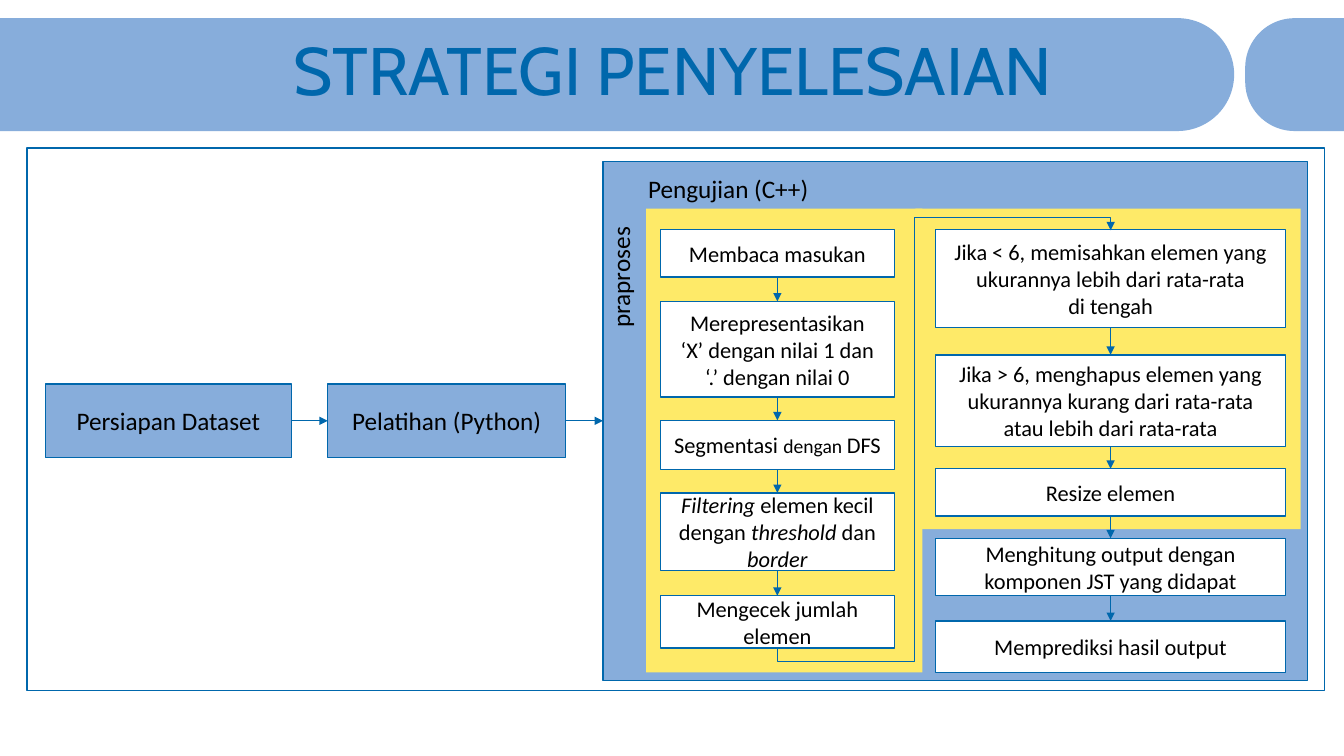
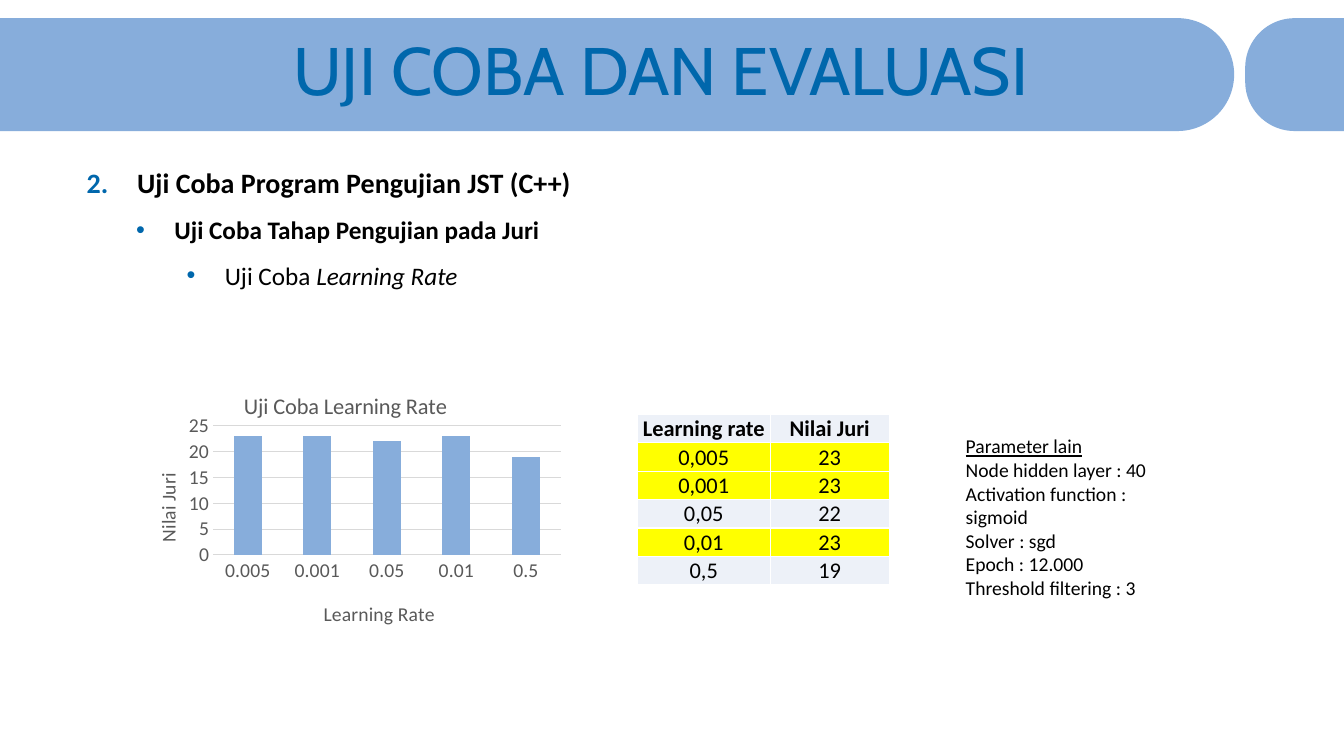
from lxml import etree
from pptx import Presentation
from pptx.chart.data import CategoryChartData
from pptx.dml.color import RGBColor
from pptx.enum import chart as charts, shapes, text
from pptx.oxml import ns
from pptx.util import Inches, Pt

BLUE, NAVY, YELLOW, WHITE, BLACK = "87ADDB", "0067AC", "FEEA68", "FFFFFF", "000000"
GREY, GRID, PALE, HIGHLIGHT = "595959", "D9D9D9", "EDF1F8", "FFFF00"
BODY_FONT, TITLE_FONT = "Calibri", "Cabin"
TITLE_ONLY, TITLE_AND_CONTENT = 5, 1
TOP, LEFT, BOTTOM, RIGHT = 0, 1, 2, 3


def color(hex_string):
    return RGBColor.from_string(hex_string)


def add_xml(parent, tag, **attributes):
    child = etree.SubElement(parent, ns.qn(tag))
    for name, value in attributes.items():
        child.set(name, str(value))
    return child


def style_font(font, size, hex_string=BLACK, name=BODY_FONT):
    font.name, font.size = name, Pt(size)
    font.color.rgb = color(hex_string)


def write(text_frame, lines, size, align=text.PP_ALIGN.LEFT):
    """Write lines; each is a string or a list of (text, font attributes) runs."""
    for index, line in enumerate(lines):
        paragraph = text_frame.paragraphs[0] if index == 0 else text_frame.add_paragraph()
        paragraph.alignment = align
        for content, attributes in [(line, {})] if isinstance(line, str) else line:
            run = paragraph.add_run()
            run.text = content
            style_font(run.font, size)
            for name, value in attributes.items():
                setattr(run.font, name, value)


def place(shape, left, top, width, height):
    shape.left, shape.top = Inches(left), Inches(top)
    shape.width, shape.height = Inches(width), Inches(height)


def add_box(slide, left, top, width, height, fill=None, line=None, lines=(), size=16):
    box = slide.shapes.add_shape(shapes.MSO_SHAPE.RECTANGLE, Inches(left), Inches(top),
                                 Inches(width), Inches(height))
    box.shadow.inherit = False
    if fill:
        box.fill.solid()
        box.fill.fore_color.rgb = color(fill)
    else:
        box.fill.background()
    if line:
        box.line.color.rgb = color(line)
        box.line.width = Pt(1)
    else:
        box.line.fill.background()
    box.text_frame.vertical_anchor = text.MSO_ANCHOR.MIDDLE
    write(box.text_frame, lines, size, text.PP_ALIGN.CENTER)
    return box


def add_label(slide, left, top, width, height, lines, size):
    label = slide.shapes.add_textbox(Inches(left), Inches(top), Inches(width), Inches(height))
    label.text_frame.word_wrap = True
    write(label.text_frame, lines, size)
    return label


def add_arrow(slide, kind, start=(0, 0), end=(0, 0)):
    points = [Inches(value) for value in (*start, *end)]
    arrow = slide.shapes.add_connector(kind, *points)
    arrow.line.color.rgb = color(NAVY)
    arrow.line.width = Pt(0.5)
    add_xml(arrow.line._get_or_add_ln(), "a:tailEnd", type="triangle")
    add_xml(arrow._element.spPr, "a:effectLst")
    return arrow


def join_boxes(slide, boxes, start_side, end_side):
    """Join each box to the next with an arrow."""
    for start, end in zip(boxes, boxes[1:]):
        arrow = add_arrow(slide, shapes.MSO_CONNECTOR.STRAIGHT)
        arrow.begin_connect(start, start_side)
        arrow.end_connect(end, end_side)


def add_wrap_arrow(slide):
    """Lead from the foot of the first column to the head of the second."""
    arrow = add_arrow(slide, shapes.MSO_CONNECTOR.ELBOW, (11.43, 6.01), (7.29, 2.7))
    properties = arrow._element.spPr
    properties.find(ns.qn("a:xfrm")).set("rot", "5400000")
    geometry = properties.find(ns.qn("a:prstGeom"))
    geometry.set("prst", "bentConnector5")
    guides = geometry.find(ns.qn("a:avLst"))
    if guides is None:
        guides = add_xml(geometry, "a:avLst")
    for number, value in enumerate((-3400, 41300, 103000), start=1):
        add_xml(guides, "a:gd", name=f"adj{number}", fmla=f"val {value}")


def add_master_bands(presentation, slide):
    """Draw the header bands once and hand them to the slide master."""
    master_tree = presentation.slide_master.shapes._spTree
    top, height = 0.18, 1.12
    for number, (left, length, rotation) in enumerate([(0, 12.24, 90), (12.35, 0.98, 270)]):
        band = slide.shapes.add_shape(
            shapes.MSO_SHAPE.ROUND_2_SAME_RECTANGLE,
            Inches(left + (length - height) / 2), Inches(top + (height - length) / 2),
            Inches(height), Inches(length))
        band.rotation = rotation
        band.adjustments[0] = 0.5
        band.shadow.inherit = False
        band.fill.solid()
        band.fill.fore_color.rgb = color(BLUE)
        band.line.fill.background()
        band._element.nvSpPr.cNvPr.set("id", str(100 + number))
        master_tree.insert(2, band._element)


def add_slide(presentation, layout, title):
    slide = presentation.slides.add_slide(presentation.slide_layouts[layout])
    shape = slide.shapes.title
    place(shape, 2.81, 0.34, 10.5, 0.79)
    frame = shape.text_frame
    frame.text = title
    frame.auto_size = text.MSO_AUTO_SIZE.NONE
    frame.vertical_anchor = text.MSO_ANCHOR.MIDDLE
    paragraph = frame.paragraphs[0]
    paragraph.alignment = text.PP_ALIGN.LEFT
    paragraph.line_spacing = 0.9
    style_font(paragraph.runs[0].font, 48, NAVY, TITLE_FONT)
    return slide


def fill_outline(placeholder):
    place(placeholder, 0.76, 1.43, 11.79, 1.51)
    frame = placeholder.text_frame
    frame.auto_size = text.MSO_AUTO_SIZE.NONE
    bold, italic = {"bold": True}, {"italic": True}
    write(frame, [[("Uji Coba Program Pengujian JST (C++)", {**bold, "size": Pt(20)})],
                  [("Uji Coba Tahap Pengujian pada Juri", bold)],
                  [("Uji Coba ", {}), ("Learning Rate", italic)]], 18)
    indents = [(0.5, 0.5), (0.87, 0.38), (1.37, 0.38)]
    for level, (paragraph, (margin, hanging)) in enumerate(zip(frame.paragraphs, indents)):
        properties = paragraph._p.get_or_add_pPr()
        properties.set("marL", str(Inches(margin)))
        properties.set("indent", str(-Inches(hanging)))
        add_xml(add_xml(properties, "a:buClr"), "a:srgbClr", val=NAVY)
        add_xml(properties, "a:buFont", typeface="Arial" if level else BODY_FONT)
        if level:
            add_xml(properties, "a:buChar", char="•")
        else:
            add_xml(properties, "a:buAutoNum", type="arabicPeriod", startAt=2)
        paragraph.level = level
        paragraph.line_spacing = 1.5
        paragraph.space_before = Pt(0)


def set_chart_layout(element, **fractions):
    """Position a chart part by fractions of the chart area."""
    old_layout = element.find(ns.qn("c:layout"))
    if old_layout is not None:
        element.remove(old_layout)
    layout = etree.Element(ns.qn("c:layout"))
    element.insert(0 if element.find(ns.qn("c:tx")) is None else 1, layout)
    manual = add_xml(layout, "c:manualLayout")
    if "w" in fractions:
        add_xml(manual, "c:layoutTarget", val="inner")
    for name in ("x", "y"):
        add_xml(manual, f"c:{name}Mode", val="edge")
    for name, value in fractions.items():
        add_xml(manual, f"c:{name}", val=value)


def set_chart_title(title, content, size, x, y):
    title.text_frame.text = content
    font = title.text_frame.paragraphs[0].runs[0].font
    style_font(font, size, GREY)
    font.bold = False
    set_chart_layout(title._element, x=x, y=y)


def add_rate_chart(slide):
    data = CategoryChartData()
    data.categories = ["0.005", "0.001", "0.05", "0.01", "0.5"]
    data.add_series("Series 1", [23, 23, 22, 23, 19])
    chart = slide.shapes.add_chart(charts.XL_CHART_TYPE.COLUMN_CLUSTERED, Inches(1.23),
                                   Inches(3.65), Inches(4.42), Inches(2.73), data).chart
    style_font(chart.font, 14, GREY)
    chart.has_legend = False
    set_chart_title(chart.chart_title, "Uji Coba Learning Rate", 16, 0.26, 0.07)
    categories, values = chart.category_axis, chart.value_axis
    set_chart_title(categories.axis_title, "Learning Rate", 14, 0.44, 0.83)
    set_chart_title(values.axis_title, "Nilai Juri", 14, 0.06, 0.37)
    for axis in (categories, values):
        axis.major_tick_mark = charts.XL_TICK_MARK.NONE
        style_font(axis.tick_labels.font, 14, GREY)
    values.minimum_scale, values.maximum_scale, values.major_unit = 0, 25, 5
    values.format.line.fill.background()
    for line in (categories.format.line, values.major_gridlines.format.line):
        line.color.rgb = color(GRID)
        line.width = Pt(0.75)
    plot = chart.plots[0]
    plot.gap_width = 150
    plot.vary_by_categories = False
    bars = plot.series[0].format.fill
    bars.solid()
    bars.fore_color.rgb = color(BLUE)
    set_chart_layout(plot._element.getparent(), x=0.2, y=0.21, w=0.78, h=0.47)


def style_cell(cell, content, fill, bold):
    cell.margin_left = cell.margin_right = cell.margin_top = Inches(0.01)
    cell.margin_bottom = 0
    cell.vertical_anchor = text.MSO_ANCHOR.BOTTOM
    write(cell.text_frame, [[(content, {"bold": bold})]], 16, text.PP_ALIGN.CENTER)
    properties = cell._tc.get_or_add_tcPr()
    for side in ("lnL", "lnR", "lnT", "lnB"):
        border = add_xml(properties, f"a:{side}", w=Pt(1))
        add_xml(add_xml(border, "a:solidFill"), "a:srgbClr", val=WHITE)
    cell.fill.solid()
    cell.fill.fore_color.rgb = color(fill)


def add_score_table(slide):
    rows = [("Learning rate", "Nilai Juri"), ("0,005", "23"), ("0,001", "23"),
            ("0,05", "22"), ("0,01", "23"), ("0,5", "19")]
    row_height = 0.28
    table = slide.shapes.add_table(len(rows), 2, Inches(6.32), Inches(4.11), Inches(2.5),
                                   Inches(row_height * len(rows))).table
    for column, width in zip(table.columns, (1.32, 1.18)):
        column.width = Inches(width)
    for row_index, row in enumerate(rows):
        table.rows[row_index].height = Inches(row_height)
        fill = HIGHLIGHT if row[1] == "23" else PALE
        for column_index, content in enumerate(row):
            style_cell(table.cell(row_index, column_index), content, fill, row_index == 0)


def add_steps(slide, left, width, steps):
    """Stack white step boxes, given as (top, height, lines), joined downwards."""
    boxes = [add_box(slide, left, top, width, height, WHITE, NAVY, lines)
             for top, height, lines in steps]
    join_boxes(slide, boxes, BOTTOM, TOP)


def build_strategy(slide):
    add_box(slide, 0.27, 1.47, 12.87, 5.38, line=NAVY)
    phases = [add_box(slide, left, 3.81, width, 0.73, BLUE, NAVY, [name], 18)
              for left, width, name in [(0.45, 2.44, "Persiapan Dataset"),
                                        (3.25, 2.36, "Pelatihan (Python)")]]
    testing = add_box(slide, 5.98, 1.6, 6.99, 5.15, BLUE, NAVY)
    join_boxes(slide, [*phases, testing], RIGHT, LEFT)
    add_label(slide, 6.33, 1.67, 2.76, 0.4, ["Pengujian (C++)"], 18)
    add_label(slide, 5.5, 2.4, 1.4, 0.5, ["praproses"], 18).rotation = 270
    add_box(slide, 6.41, 2.07, 2.74, 4.6, YELLOW)
    add_box(slide, 9.08, 2.07, 3.82, 3.18, YELLOW)
    italic = {"italic": True}
    add_steps(slide, 6.55, 2.32, [
        (2.28, 0.47, ["Membaca masukan"]),
        (2.99, 0.95, ["Merepresentasikan", "‘X’ dengan nilai 1 dan", "‘.’ dengan nilai 0"]),
        (4.17, 0.49, [[("Segmentasi ", {}), ("dengan ", {"size": Pt(14)}), ("DFS", {})]]),
        (4.89, 0.77, [[("Filtering ", italic), ("elemen kecil dengan ", {}),
                       ("threshold ", italic), ("dan ", {}), ("border", italic)]]),
        (5.91, 0.52, ["Mengecek jumlah elemen"])])
    add_steps(slide, 9.28, 3.47, [
        (2.28, 0.97, ["Jika < 6, memisahkan elemen yang ukurannya lebih dari rata-rata",
                      "di tengah"]),
        (3.52, 0.91, ["Jika > 6, menghapus elemen yang ukurannya kurang dari rata-rata "
                      "atau lebih dari rata-rata"]),
        (4.65, 0.47, ["Resize elemen"]),
        (5.34, 0.57, ["Menghitung output dengan komponen JST yang didapat"]),
        (6.16, 0.51, ["Memprediksi hasil output"])])
    add_wrap_arrow(slide)


def build_evaluation(slide):
    fill_outline(slide.placeholders[1])
    add_rate_chart(slide)
    add_score_table(slide)
    add_label(slide, 9.48, 4.26, 2.36, 1.51, [
        [("Parameter lain", {"underline": True})], "Node hidden layer : 40",
        "Activation function : sigmoid", "Solver : sgd", "Epoch : 12.000",
        "Threshold filtering : 3"], 14)


def main():
    presentation = Presentation()
    presentation.slide_width, presentation.slide_height = Inches(13.33), Inches(7.5)
    strategy = add_slide(presentation, TITLE_ONLY, "STRATEGI PENYELESAIAN")
    add_master_bands(presentation, strategy)
    build_strategy(strategy)
    build_evaluation(add_slide(presentation, TITLE_AND_CONTENT, "UJI COBA DAN EVALUASI"))
    presentation.save("out.pptx")


if __name__ == "__main__":
    main()
